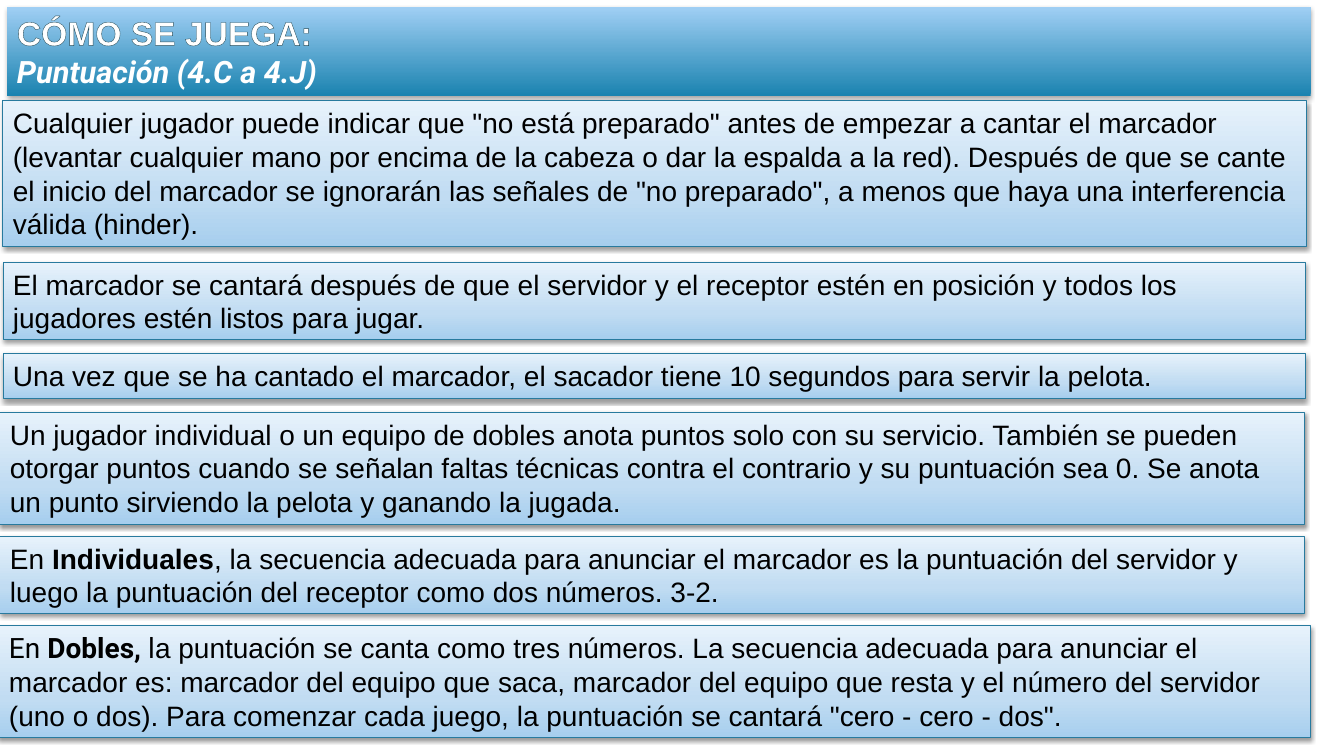
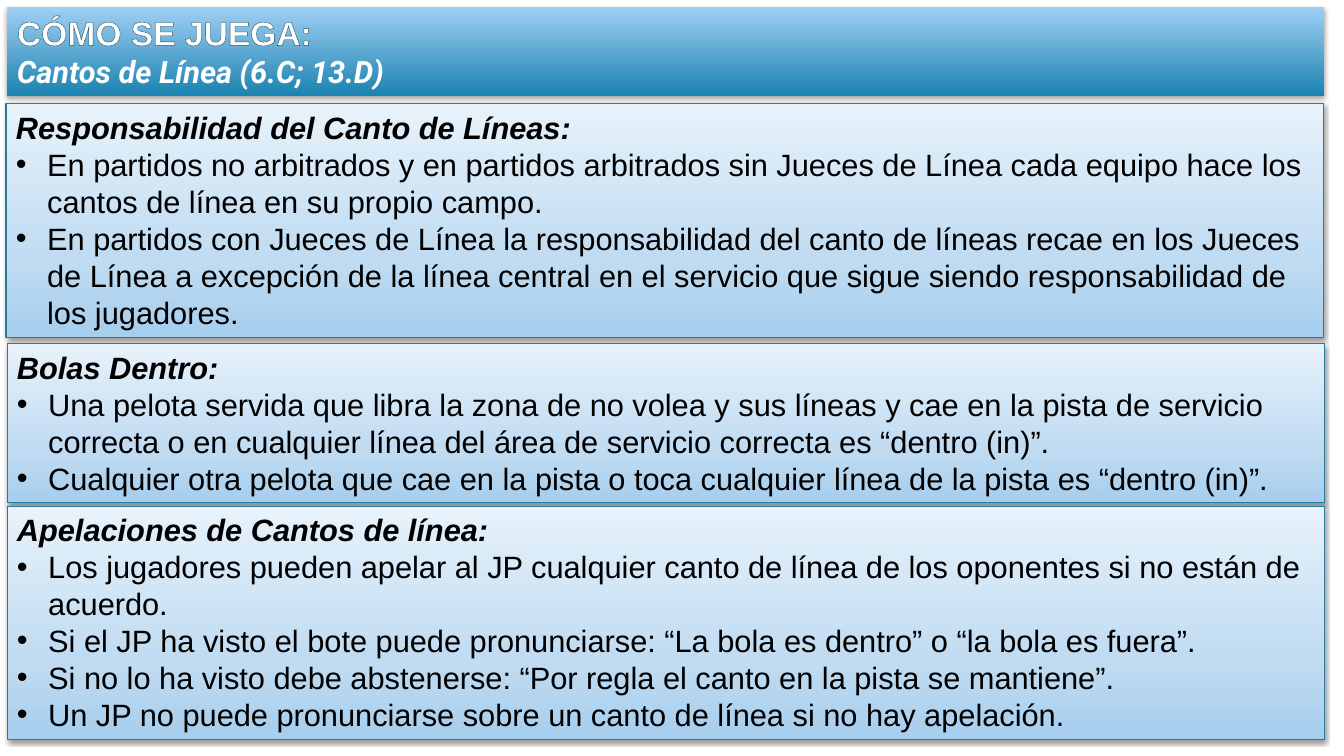
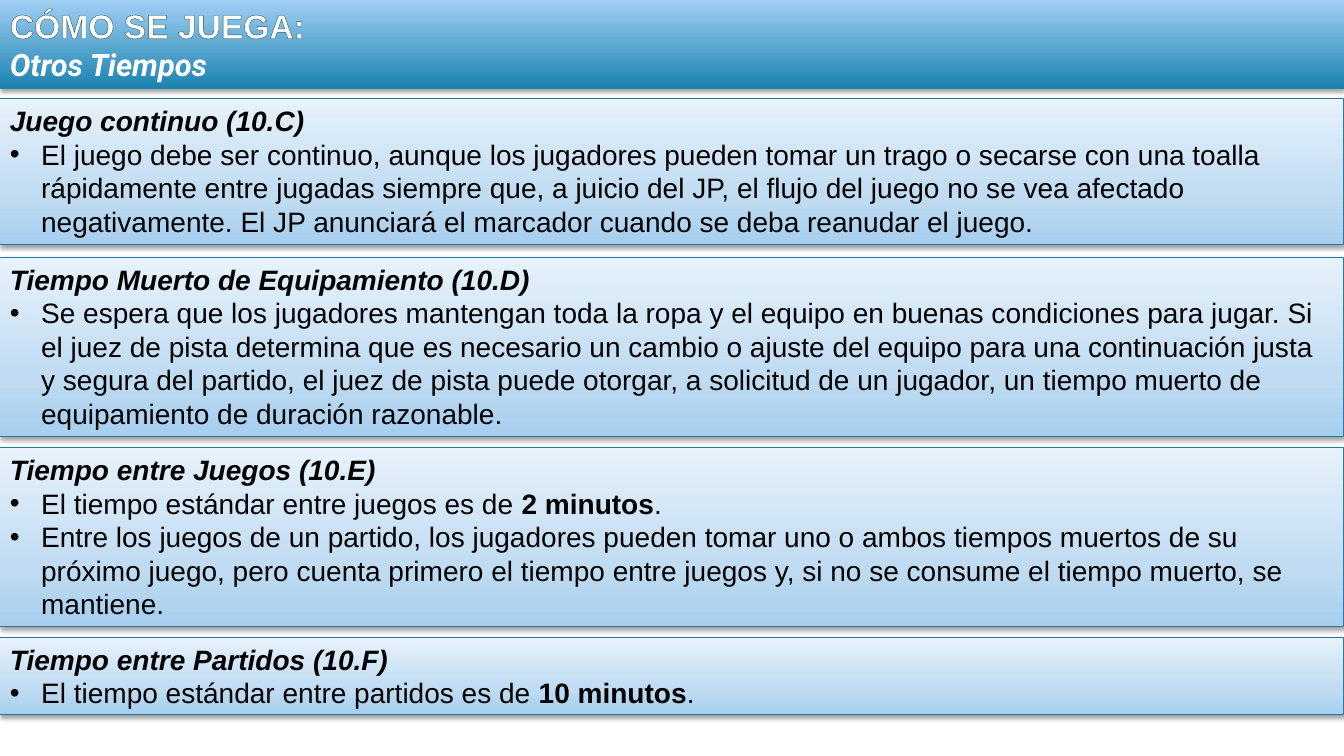
"""Build three slides on how the game is played: scoring, line calls and other times."""
from dataclasses import dataclass

from lxml import etree
from pptx import Presentation
from pptx.dml.color import RGBColor
from pptx.enum import shapes, text
from pptx.oxml.ns import qn
from pptx.util import Inches, Pt

WHITE = RGBColor(0xFF, 0xFF, 0xFF)
BLACK = RGBColor(0x00, 0x00, 0x00)
PANEL_LINE = RGBColor(0x28, 0x7A, 0x9E)
TITLE_OUTLINE = RGBColor(0x24, 0x4A, 0x58)
BAND_STOPS = ((0, RGBColor(0x1B, 0x83, 0xB0)), (100, RGBColor(0xA0, 0xCF, 0xF4)))
PANEL_STOPS = (
    (0, RGBColor(0xA6, 0xCE, 0xEE)),
    (35, RGBColor(0xC1, 0xDC, 0xF2)),
    (100, RGBColor(0xE7, 0xF2, 0xFB)),
)
ARIAL = "Arial"
ROBOTO = "Roboto"
TITLE = "CÓMO SE JUEGA:"
BAND_HEIGHT = 0.88
BULLET_INDENT = 0.31


@dataclass(frozen=True)
class Run:
    text: str
    bold: bool = False
    font: str = ARIAL


@dataclass(frozen=True)
class Panel:
    left: float
    top: float
    width: float
    height: float
    paragraphs: tuple[tuple[Run, ...], ...]
    heading: str = ""


@dataclass(frozen=True)
class Page:
    subtitle: str
    left: float
    top: float
    width: float
    text_size: int
    panels: tuple[Panel, ...]


def plain(*lines: str) -> tuple[tuple[Run, ...], ...]:
    return tuple((Run(line),) for line in lines)


def add_color(parent, color: RGBColor):
    return etree.SubElement(parent, qn("a:srgbClr"), val=str(color))


def add_box(slide, left: float, top: float, width: float, height: float, *,
            stops, shadow_alpha: int, shadow_distance: float, line: RGBColor | None = None):
    shape = slide.shapes.add_shape(shapes.MSO_SHAPE.RECTANGLE, Inches(left), Inches(top),
                                   Inches(width), Inches(height))
    shape.fill.gradient()
    shape.fill.gradient_angle = 90
    properties = shape.element.spPr
    stop_list = properties.find(qn("a:gradFill")).find(qn("a:gsLst"))
    for stop in list(stop_list):
        stop_list.remove(stop)
    for position, color in stops:
        add_color(etree.SubElement(stop_list, qn("a:gs"), pos=str(position * 1000)), color)

    if line is None:
        shape.line.fill.background()
    else:
        shape.line.color.rgb = line
        shape.line.width = Pt(0.75)

    shape.shadow.inherit = False
    shadow = etree.SubElement(
        properties.find(qn("a:effectLst")), qn("a:outerShdw"), blurRad=str(Pt(3.1)),
        dist=str(Pt(shadow_distance)), dir="5400000", rotWithShape="0")
    etree.SubElement(add_color(shadow, BLACK), qn("a:alpha"), val=str(shadow_alpha * 1000))

    frame = shape.text_frame
    frame.word_wrap = True
    frame.auto_size = text.MSO_AUTO_SIZE.SHAPE_TO_FIT_TEXT
    frame.vertical_anchor = text.MSO_ANCHOR.TOP
    return frame


def next_paragraph(frame, first: bool, bullet: bool = False):
    paragraph = frame.paragraphs[0] if first else frame.add_paragraph()
    paragraph.alignment = text.PP_ALIGN.LEFT
    if bullet:
        properties = paragraph._p.get_or_add_pPr()
        properties.set("marL", str(Inches(BULLET_INDENT)))
        properties.set("indent", str(-Inches(BULLET_INDENT)))
        add_color(etree.SubElement(properties, qn("a:buClr")), BLACK)
        etree.SubElement(properties, qn("a:buFont"), typeface=ARIAL)
        etree.SubElement(properties, qn("a:buChar"), char="•")
    return paragraph


def add_text(paragraph, content: str, *, size: int, font: str = ARIAL, color: RGBColor = BLACK,
             bold: bool = False, italic: bool = False, outline: RGBColor | None = None) -> None:
    run = paragraph.add_run()
    run.text = content
    run.font.size = Pt(size)
    run.font.name = font
    run.font.color.rgb = color
    run.font.bold = bold
    run.font.italic = italic
    if outline is not None:
        line = etree.Element(qn("a:ln"), w=str(Pt(0.52)))
        add_color(etree.SubElement(line, qn("a:solidFill")), outline)
        run.font._element.insert(0, line)


def add_band(slide, page: Page) -> None:
    frame = add_box(slide, page.left, page.top, page.width, BAND_HEIGHT,
                    stops=BAND_STOPS, shadow_alpha=35, shadow_distance=1.8)
    add_text(next_paragraph(frame, True), TITLE, size=24, color=WHITE, bold=True,
             outline=TITLE_OUTLINE)
    add_text(next_paragraph(frame, False), page.subtitle, size=22, font=ROBOTO, color=WHITE,
             bold=True, italic=True)


def add_panel(slide, panel: Panel, size: int) -> None:
    frame = add_box(slide, panel.left, panel.top, panel.width, panel.height, stops=PANEL_STOPS,
                    shadow_alpha=38, shadow_distance=1.6, line=PANEL_LINE)
    has_heading = bool(panel.heading)
    if has_heading:
        add_text(next_paragraph(frame, True), panel.heading, size=size, bold=True, italic=True)
    for index, runs in enumerate(panel.paragraphs):
        paragraph = next_paragraph(frame, index == 0 and not has_heading, bullet=has_heading)
        for run in runs:
            add_text(paragraph, run.text, size=size, font=run.font, bold=run.bold)


SCORING = Page("Puntuación (4.C a 4.J)", 0.07, 0.07, 12.93, 20, (
    Panel(0.03, 1, 12.93, 1.45, plain(
        'Cualquier jugador puede indicar que "no está preparado" antes de empezar a cantar el '
        "marcador (levantar cualquier mano por encima de la cabeza o dar la espalda a la red). "
        "Después de que se cante el inicio del marcador se ignorarán las señales de "
        '"no preparado", a menos que haya una interferencia válida (hinder).')),
    Panel(0.03, 2.6, 12.92, 0.77, plain(
        "El marcador se cantará después de que el servidor y el receptor estén en posición y "
        "todos los jugadores estén listos para jugar.")),
    Panel(0.03, 3.51, 12.92, 0.44, plain(
        "Una vez que se ha cantado el marcador, el sacador tiene 10 segundos para servir la "
        "pelota.")),
    Panel(0, 4.09, 12.94, 1.11, plain(
        "Un jugador individual o un equipo de dobles anota puntos solo con su servicio. También "
        "se pueden otorgar puntos cuando se señalan faltas técnicas contra el contrario y su "
        "puntuación sea 0. Se anota un punto sirviendo la pelota y ganando la jugada.")),
    Panel(0, 5.32, 12.94, 0.77, ((
        Run("En "),
        Run("Individuales", bold=True),
        Run(", la secuencia adecuada para anunciar el marcador es la puntuación del servidor y "
            "luego la puntuación del receptor como dos números. 3-2.")),)),
    Panel(-0.01, 6.21, 13.01, 1.11, ((
        Run("En ", font=ROBOTO),
        Run("Dobles, ", bold=True, font=ROBOTO),
        Run("l", font=ROBOTO),
        Run("a puntuación se canta como tres números. La secuencia adecuada para anunciar el "
            "marcador es: marcador del equipo que saca, marcador del equipo que resta y el "
            "número del servidor (uno o dos). Para comenzar cada juego, la puntuación se "
            'cantará "cero - cero - dos".')),)),
))

LINE_CALLS = Page("Cantos de Línea (6.C; 13.D)", 0.07, 0.07, 13.06, 22, (
    Panel(0.06, 1.03, 13.07, 2.32, plain(
        "En partidos no arbitrados y en partidos arbitrados sin Jueces de Línea cada equipo "
        "hace los cantos de línea en su propio campo.",
        "En partidos con Jueces de Línea la responsabilidad del canto de líneas recae en los "
        "Jueces de Línea a excepción de la línea central en el servicio que sigue siendo "
        "responsabilidad de los jugadores."),
        heading="Responsabilidad del Canto de Líneas:"),
    Panel(0.07, 3.41, 13.07, 1.58, plain(
        "Una pelota servida que libra la zona de no volea y sus líneas y cae en la pista de "
        "servicio correcta o en cualquier línea del área de servicio correcta es “dentro (in)”.",
        "Cualquier otra pelota que cae en la pista o toca cualquier línea de la pista es "
        "“dentro (in)”."),
        heading="Bolas Dentro:"),
    Panel(0.07, 5.02, 13.07, 2.32, plain(
        "Los jugadores pueden apelar al JP cualquier canto de línea de los oponentes si no "
        "están de acuerdo.",
        "Si el JP ha visto el bote puede pronunciarse: “La bola es dentro” o “la bola es fuera”.",
        "Si no lo ha visto debe abstenerse: “Por regla el canto en la pista se mantiene”.",
        "Un JP no puede pronunciarse sobre un canto de línea si no hay apelación."),
        heading="Apelaciones de Cantos de línea:"),
))

OTHER_TIMES = Page("Otros Tiempos", 0, 0, 13.33, 20, (
    Panel(0, 0.98, 13.33, 1.45, plain(
        "El juego debe ser continuo, aunque los jugadores pueden tomar un trago o secarse con "
        "una toalla rápidamente entre jugadas siempre que, a juicio del JP, el flujo del juego "
        "no se vea afectado negativamente. El JP anunciará el marcador cuando se deba reanudar "
        "el juego."),
        heading="Juego continuo (10.C)"),
    Panel(0, 2.55, 13.33, 1.78, plain(
        "Se espera que los jugadores mantengan toda la ropa y el equipo en buenas condiciones "
        "para jugar. Si el juez de pista determina que es necesario un cambio o ajuste del "
        "equipo para una continuación justa y segura del partido, el juez de pista puede "
        "otorgar, a solicitud de un jugador, un tiempo muerto de equipamiento de duración "
        "razonable."),
        heading="Tiempo Muerto de Equipamiento (10.D)"),
    Panel(0, 4.44, 13.33, 1.78, (
        (Run("El tiempo estándar entre juegos es de "), Run("2 minutos", bold=True), Run(".")),
        *plain(
            "Entre los juegos de un partido, los jugadores pueden tomar uno o ambos tiempos "
            "muertos de su próximo juego, pero cuenta primero el tiempo entre juegos y, si no "
            "se consume el tiempo muerto, se mantiene.")),
        heading="Tiempo entre Juegos (10.E)"),
    Panel(0, 6.32, 13.33, 0.77, (
        (Run("El tiempo estándar entre partidos es de "), Run("10 minutos", bold=True),
         Run(".")),),
        heading="Tiempo entre Partidos (10.F)"),
))


def main() -> None:
    presentation = Presentation()
    presentation.slide_width = Inches(13.33)
    presentation.slide_height = Inches(7.5)
    for page in (SCORING, LINE_CALLS, OTHER_TIMES):
        slide = presentation.slides.add_slide(presentation.slide_layouts[6])
        add_band(slide, page)
        for panel in page.panels:
            add_panel(slide, panel, page.text_size)
    presentation.save("out.pptx")


if __name__ == "__main__":
    main()
